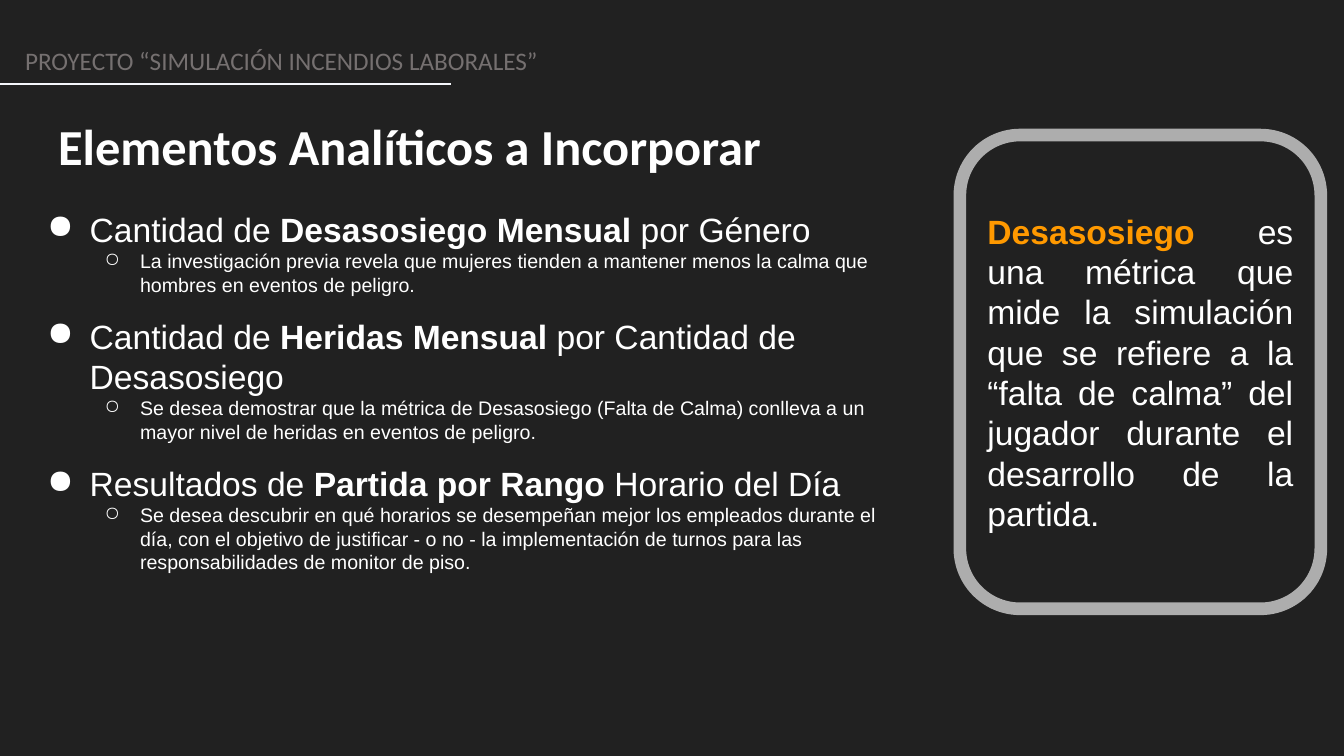
from typing import NamedTuple

from lxml import etree
from pptx import Presentation
from pptx.dml.color import RGBColor
from pptx.enum.shapes import MSO_CONNECTOR, MSO_SHAPE
from pptx.enum.text import MSO_ANCHOR, PP_ALIGN
from pptx.oxml.ns import qn
from pptx.util import Inches, Pt

STRAIGHT = MSO_CONNECTOR.STRAIGHT
ROUNDED = MSO_SHAPE.ROUNDED_RECTANGLE
MIDDLE = MSO_ANCHOR.MIDDLE
LEFT, CENTER, JUSTIFY = PP_ALIGN.LEFT, PP_ALIGN.CENTER, PP_ALIGN.JUSTIFY

COLORS = {
    "background": "212121",
    "header": "757070",
    "text": "FFFFFF",
    "rule": "F5F7FC",
    "frame": "ADADAD",
    "accent": "FF9900",
}


class Box(NamedTuple):
    left: float
    top: float
    width: float
    height: float


class Heading(NamedTuple):
    box: Box
    text: str
    size: int
    color: str
    bold: bool
    align: PP_ALIGN


class Level(NamedTuple):
    depth: int
    bullet: str
    margin: float
    indent: float
    size: int


class Analysis(NamedTuple):
    lead: str
    metric: str
    tail: str
    reason: str


HEADINGS = [
    Heading(Box(0.15, 0.4, 13.33, 0.4), "PROYECTO “SIMULACIÓN INCENDIOS LABORALES”",
            18, "header", False, LEFT),
    Heading(Box(0.37, 1.09, 7.39, 0.71), "Elementos Analíticos a Incorporar",
            36, "text", True, CENTER),
]
TOPIC = Level(0, "●", 0.5, -0.42, 24)
REASON = Level(1, "○", 1, -0.35, 14)
ANALYSES = [
    Analysis("Cantidad de ", "Desasosiego Mensual", " por Género",
             "La investigación previa revela que mujeres tienden a mantener menos "
             "la calma que hombres en eventos de peligro."),
    Analysis("Cantidad de ", "Heridas Mensual", " por Cantidad de Desasosiego",
             "Se desea demostrar que la métrica de Desasosiego (Falta de Calma) "
             "conlleva a un mayor nivel de heridas en eventos de peligro."),
    Analysis("Resultados de ", "Partida por Rango", " Horario del Día",
             "Se desea descubrir en qué horarios se desempeñan mejor los empleados "
             "durante el día, con el objetivo de justificar - o no - la implementación "
             "de turnos para las responsabilidades de monitor de piso."),
]


def rgb(name: str) -> RGBColor:
    return RGBColor.from_string(COLORS[name])


def place(box: Box) -> list:
    return [Inches(length) for length in box]


def set_font(font, name: str, size: int, color: str, bold: bool = False) -> None:
    font.name = name
    font.size = Pt(size)
    font.color.rgb = rgb(color)
    font.bold = bold


def set_margins(frame, side: float, edge: float) -> None:
    frame.word_wrap = True
    frame.margin_left = frame.margin_right = Inches(side)
    frame.margin_top = frame.margin_bottom = Inches(edge)


def add_run(paragraph, text: str, bold: bool = False) -> None:
    run = paragraph.add_run()
    run.text = text
    if bold:
        run.font.bold = True


def add_heading(slide, heading: Heading) -> None:
    frame = slide.shapes.add_textbox(*place(heading.box)).text_frame
    set_margins(frame, 0.1, 0.05)
    paragraph = frame.paragraphs[0]
    paragraph.alignment = heading.align
    set_font(paragraph.font, "Calibri", heading.size, heading.color, heading.bold)
    add_run(paragraph, heading.text)


def style_item(paragraph, level: Level) -> None:
    paragraph.level = level.depth
    properties = paragraph._p.get_or_add_pPr()
    properties.set("marL", str(Inches(level.margin)))
    properties.set("indent", str(Inches(level.indent)))
    bullet_color = etree.SubElement(properties, qn("a:buClr"))
    etree.SubElement(bullet_color, qn("a:srgbClr"), val=COLORS["text"])
    etree.SubElement(properties, qn("a:buChar"), char=level.bullet)
    set_font(paragraph.font, "Arial", level.size, "text")


def add_analyses(slide, box: Box, analyses: list[Analysis]) -> None:
    frame = slide.shapes.add_textbox(*place(box)).text_frame
    set_margins(frame, 0.1, 0.1)
    for index, analysis in enumerate(analyses):
        topic = frame.add_paragraph() if index else frame.paragraphs[0]
        style_item(topic, TOPIC)
        if index:
            topic.space_before = Pt(14)
        add_run(topic, analysis.lead)
        add_run(topic, analysis.metric, bold=True)
        add_run(topic, analysis.tail)
        reason = frame.add_paragraph()
        style_item(reason, REASON)
        add_run(reason, analysis.reason)


def add_header_rule(slide, width: float, top: float) -> None:
    rule = slide.shapes.add_connector(
        STRAIGHT, 0, Inches(top), Inches(width), Inches(top))
    rule.line.color.rgb = rgb("rule")
    rule.line.width = Pt(1.25)
    etree.SubElement(rule._element.spPr, qn("a:effectLst"))


def add_definition(slide, box: Box, term: str, meaning: str) -> None:
    panel = slide.shapes.add_shape(ROUNDED, *place(box))
    panel.adjustments[0] = 0.167
    panel.shadow.inherit = False
    panel.fill.background()
    panel.line.color.rgb = rgb("frame")
    panel.line.width = Pt(9)
    frame = panel.text_frame
    set_margins(frame, 0.1, 0.1)
    frame.vertical_anchor = MIDDLE
    paragraph = frame.paragraphs[0]
    paragraph.alignment = JUSTIFY
    set_font(paragraph.font, "Arial", 24, "text")
    add_run(paragraph, term, bold=True)
    paragraph.runs[0].font.color.rgb = rgb("accent")
    add_run(paragraph, meaning)
    # The shape style's own text colour outranks the paragraph font
    paragraph.runs[1].font.color.rgb = rgb("text")


def main() -> None:
    presentation = Presentation()
    presentation.slide_width = Inches(13.33)
    presentation.slide_height = Inches(7.5)
    slide = presentation.slides.add_slide(presentation.slide_layouts[6])
    slide.background.fill.solid()
    slide.background.fill.fore_color.rgb = rgb("background")

    # Project header and title
    for heading in HEADINGS:
        add_heading(slide, heading)
    add_header_rule(slide, 4.47, 0.83)

    # Analyses and the reason for each
    add_analyses(slide, Box(0.29, 1.97, 8.58, 4.42), ANALYSES)

    # Definition of the metric
    add_definition(
        slide, Box(9.52, 1.34, 3.58, 4.7), "Desasosiego ",
        "es una métrica que mide la simulación que se refiere a la “falta de calma” "
        "del jugador durante el desarrollo de la partida.")

    presentation.save("out.pptx")


if __name__ == "__main__":
    main()
